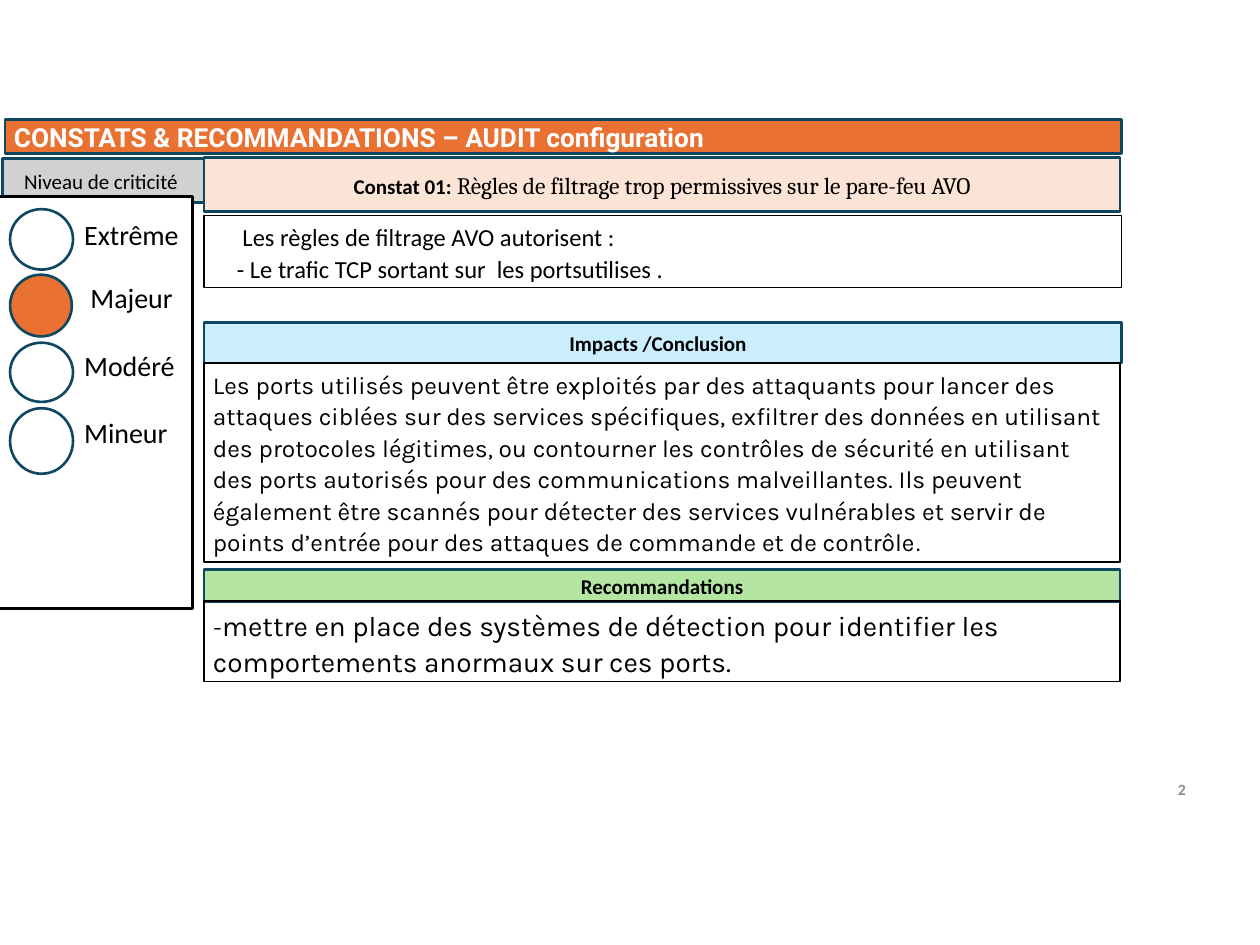
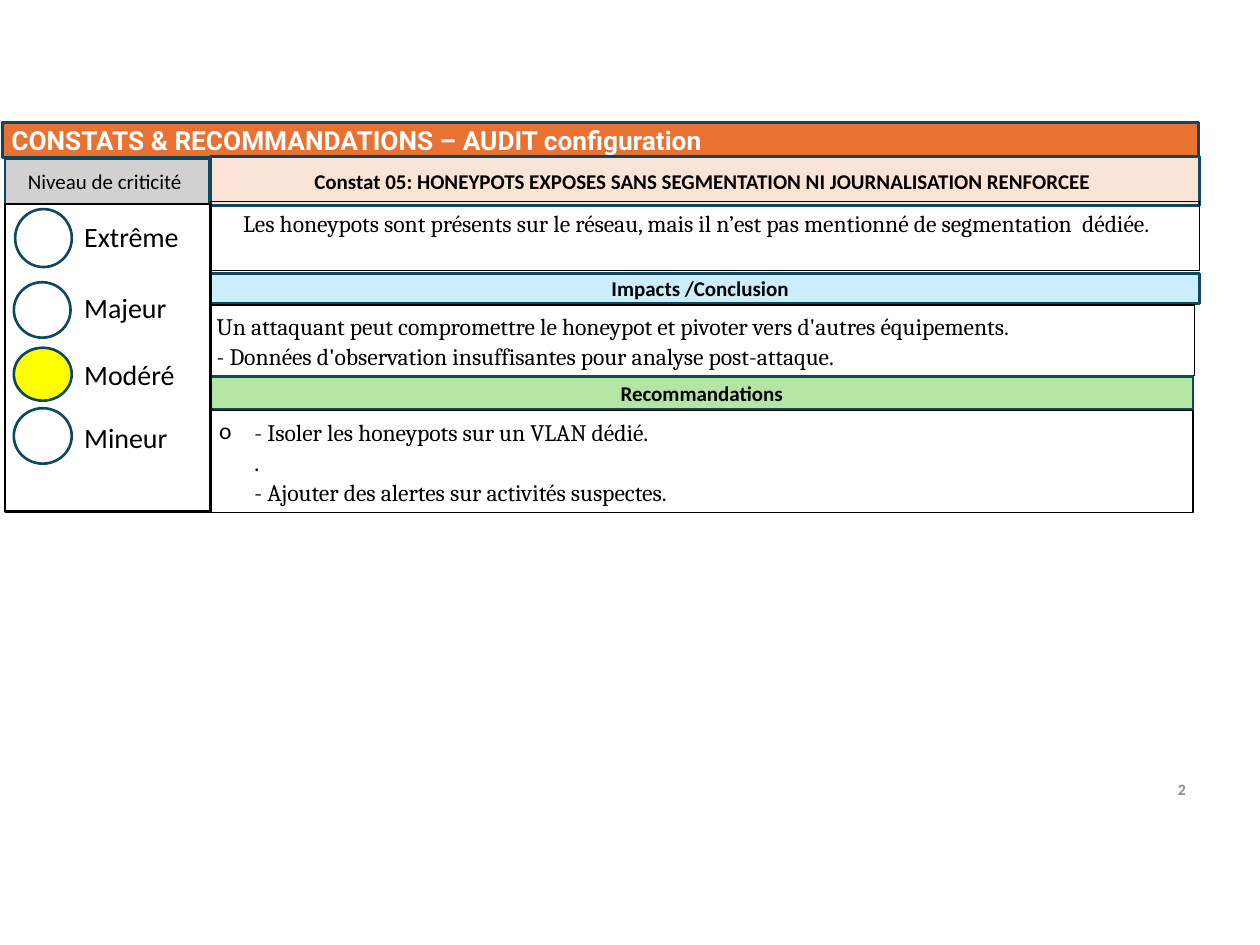
import lxml.etree
import pptx
import pptx.dml.color
import pptx.enum.shapes
import pptx.enum.text
import pptx.oxml.ns
import pptx.util

SCALE = 9144
HUES = {
    "orange": "E97132", "peach": "FBE3D6", "blue": "CAEEFB",
    "green": "B4E5A2", "gray": "D1D1D1", "yellow": "FFFF00",
    "navy": "104760", "black": "000000", "white": "FFFFFF", "dim": "8C8C8C",
}
FORMS = pptx.enum.shapes.MSO_SHAPE
SIDES = {
    "left": pptx.enum.text.PP_ALIGN.LEFT,
    "center": pptx.enum.text.PP_ALIGN.CENTER,
    "right": pptx.enum.text.PP_ALIGN.RIGHT,
}
MIDDLE = pptx.enum.text.MSO_ANCHOR.MIDDLE
TOP = pptx.enum.text.MSO_ANCHOR.TOP
TIGHT = (7, 4, 7, 4)
LOOSE = (10, 5, 0, 5)
LEVELS = ("Extrême", "Majeur", "Modéré", "Mineur")
SERIF = {"font": "Cambria", "size": 13.5}
KARLA = {"font": "Karla", "size": 14}


def px(count):
    return pptx.util.Emu(count * SCALE)


def hue(name):
    return pptx.dml.color.RGBColor.from_string(HUES[name])


def write(para, text, font="Calibri", size=12, color="black", bold=False):
    for row, line in enumerate(text.split("\n")):
        if row:
            para.add_line_break()
        run = para.add_run()
        run.text = line
        run.font.name = font
        run.font.size = pptx.util.Pt(size)
        run.font.bold = bold
        run.font.color.rgb = hue(color)


def frame(shape, pads=TIGHT, anchor=MIDDLE, side="left"):
    body = shape.text_frame
    body.word_wrap = True
    body.vertical_anchor = anchor
    body.margin_left, body.margin_top, body.margin_right, body.margin_bottom = map(px, pads)
    para = body.paragraphs[0]
    para.alignment = SIDES[side]
    return para


def draw(slide, at, form=FORMS.RECTANGLE, fill=None, edge="navy", weight=1.5):
    shape = slide.shapes.add_shape(form, *map(px, at))
    shape.shadow.inherit = False
    if fill:
        shape.fill.solid()
        shape.fill.fore_color.rgb = hue(fill)
    else:
        shape.fill.background()
    shape.line.color.rgb = hue(edge)
    shape.line.width = pptx.util.Pt(weight)
    return shape


def band(slide, at, fill, text, side="center", **style):
    para = frame(draw(slide, at, fill=fill), side=side)
    write(para, text, **style)
    return para


def indent(para, left, hang=0, mark=None):
    props = para._p.get_or_add_pPr()
    props.set("marL", str(px(left)))
    props.set("indent", str(px(hang)))
    if mark:
        font = lxml.etree.SubElement(props, pptx.oxml.ns.qn("a:buFont"))
        font.set("typeface", "Calibri")
        sign = lxml.etree.SubElement(props, pptx.oxml.ns.qn("a:buChar"))
        sign.set("char", mark)


def note(slide, at, text, left=0, hang=0, mark=None, **style):
    para = frame(draw(slide, at, edge="black", weight=0.75), anchor=TOP)
    indent(para, left, hang, mark)
    para.line_spacing = 1.07
    write(para, text, **style)
    return para


def label(slide, at, text, pads=LOOSE, side="left", **style):
    box = slide.shapes.add_textbox(*map(px, at))
    write(frame(box, pads, TOP, side), text, **style)


def title(slide, at):
    band(slide, at, "orange", "CONSTATS & RECOMMANDATIONS – AUDIT configuration",
         side="left", font="Roboto", size=15, color="white", bold=True)


def impact(slide, at):
    band(slide, at, "blue", "Impacts /Conclusion  ", bold=True)


def advice(slide, at):
    band(slide, at, "green", "Recommandations", bold=True)


def folio(slide):
    label(slide, (726, 619, 225, 30), "2", pads=(10, 0, 10, 0), side="right",
          size=9, color="dim", bold=True)


def scale(slide, head, panel, dots, names, active, fill):
    band(slide, head, "gray", "Niveau de criticité ")
    draw(slide, panel, fill="white", edge="black")
    for level, dot, spot in zip(LEVELS, dots, names):
        draw(slide, dot, FORMS.OVAL, fill=fill if level == active else None)
        label(slide, (*spot, 96, 37), level, size=16)


def rules(slide):
    title(slide, (4, 95, 886, 27))
    para = band(slide, (162, 125, 727, 43), "peach", "Constat 01:", bold=True)
    write(para, " Règles de filtrage trop permissives sur le pare-feu AVO", **SERIF)
    note(slide, (162, 171, 728, 57),
         " Les règles de filtrage AVO autorisent :\n"
         "- Le trafic TCP sortant sur  les portsutilises .", left=19, size=14)
    impact(slide, (162, 256, 728, 32))
    para = note(
        slide, (162, 288, 727, 158),
        "Les ports utilisés peuvent être exploités par des attaquants pour lancer des "
        "attaques ciblées sur des services spécifiques, exfiltrer des données en utilisant "
        "des protocoles légitimes, ou contourner les contrôles de sécurité en utilisant "
        "des ports autorisés pour des communications malveillantes. Ils peuvent "
        "également être scannés pour détecter des services vulnérables et servir de "
        "points d’entrée pour des attaques de commande et de contrôle", **KARLA)
    write(para, ".", **SERIF)
    advice(slide, (162, 452, 727, 26))
    para = note(slide, (162, 477, 727, 64), "-", font="Cambria", size=16)
    write(para, "mettre en place des systèmes de détection pour identifier les "
          "comportements anormaux sur ces ports.", font="Karla", size=16)
    folio(slide)
    scale(slide, (2, 126, 160, 35), (-6, 156, 159, 327),
          ((8, 166, 50, 48), (8, 218, 49, 49), (8, 272, 50, 47), (8, 324, 50, 52)),
          ((57, 168), (62, 218), (57, 272), (57, 325)), "Majeur", "orange")


def traps(slide):
    title(slide, (2, 97, 949, 28))
    band(slide, (167, 124, 785, 39), "peach",
         "Constat 05: HONEYPOTS EXPOSES SANS SEGMENTATION NI JOURNALISATION RENFORCEE ",
         bold=True)
    note(slide, (167, 160, 785, 55),
         "Les honeypots sont présents sur le réseau, mais il n’est pas mentionné "
         "de segmentation  dédiée.", left=19, **SERIF)
    impact(slide, (167, 217, 785, 24))
    note(slide, (165, 242, 783, 56),
         "Un attaquant peut compromettre le honeypot et pivoter vers d'autres équipements.\n"
         "- Données d'observation insuffisantes pour analyse post-attaque.", **SERIF)
    advice(slide, (167, 299, 780, 26))
    note(slide, (167, 326, 780, 81),
         "- Isoler les honeypots sur un VLAN dédié.\n.\n"
         "- Ajouter des alertes sur activités suspectes.",
         left=28, hang=-28, mark="o", **SERIF)
    folio(slide)
    scale(slide, (4, 126, 162, 36), (4, 162, 163, 244),
          ((12, 166, 45, 46), (11, 224, 45, 44), (11, 276, 46, 42), (11, 324, 46, 44)),
          ((57, 169), (57, 226), (57, 279), (57, 329)), "Modéré", "yellow")


def main():
    deck = pptx.Presentation()
    deck.slide_width, deck.slide_height = px(1000), px(750)
    for build in (rules, traps):
        build(deck.slides.add_slide(deck.slide_layouts[6]))
    deck.save("out.pptx")


if __name__ == "__main__":
    main()
